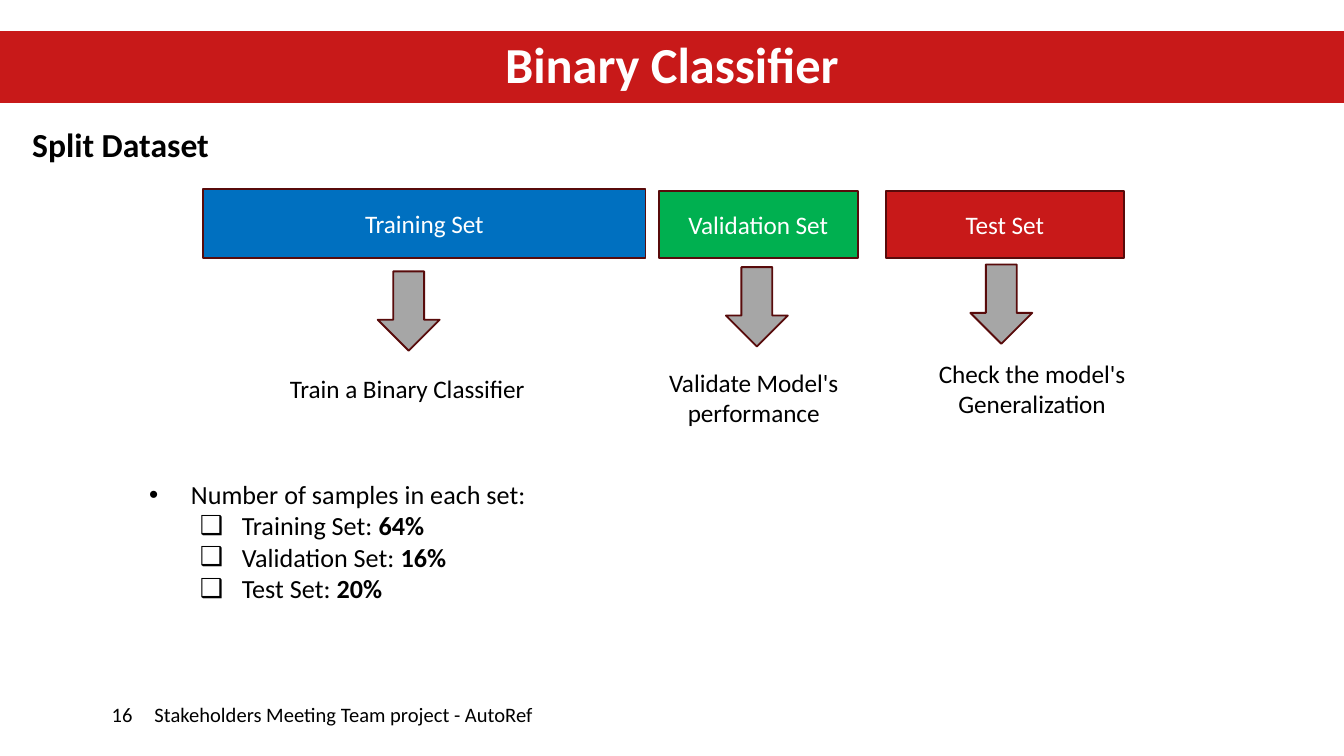
from collections import namedtuple
from dataclasses import dataclass

from lxml.etree import SubElement
from pptx import Presentation
from pptx.dml.color import RGBColor
from pptx.enum.shapes import MSO_SHAPE
from pptx.enum.text import MSO_ANCHOR, PP_ALIGN
from pptx.oxml.ns import qn
from pptx.util import Cm, Pt

# Every box is given in centimetres
Box = namedtuple("Box", "left top width height")


@dataclass(frozen=True)
class Theme:
    font: str = "Calibri"
    red: str = "C81919"
    blue: str = "0070C0"
    green: str = "00B050"
    grey: str = "A6A6A6"
    outline: str = "580B0B"
    white: str = "FFFFFF"
    black: str = "000000"
    title_size: float = 27
    heading_size: float = 18
    list_size: float = 14
    label_size: float = 13.5
    footer_size: float = 11


THEME = Theme()


def place(shape, box):
    shape.left, shape.top, shape.width, shape.height = map(Cm, box)


def add_span(para, text, size, color=THEME.black, bold=False):
    span = para.add_run()
    span.text = text
    span.font.name = THEME.font
    span.font.size = Pt(size)
    span.font.bold = bold
    span.font.color.rgb = RGBColor.from_string(color)


def set_margins(frame, left=0, top=0, right=0, bottom=0):
    frame.margin_left, frame.margin_top = Cm(left), Cm(top)
    frame.margin_right, frame.margin_bottom = Cm(right), Cm(bottom)


def add_block(page, kind, box, fill, line=None):
    shape = page.shapes.add_shape(kind, *map(Cm, box))
    shape.shadow.inherit = False
    shape.fill.solid()
    shape.fill.fore_color.rgb = RGBColor.from_string(fill)
    if line:
        shape.line.color.rgb = RGBColor.from_string(line)
        shape.line.width = Pt(1)
    else:
        shape.line.fill.background()
    return shape


def add_text_frame(page, box):
    frame = page.shapes.add_textbox(*map(Cm, box)).text_frame
    frame.word_wrap = True
    return frame


def set_bullet(para, symbol, margin, hanging):
    properties = para._p.get_or_add_pPr()
    properties.set("marL", str(Cm(margin)))
    properties.set("indent", str(-Cm(hanging)))
    SubElement(properties, qn("a:buFont")).set("typeface", "Arial")
    SubElement(properties, qn("a:buChar")).set("char", symbol)


def add_title(page, box, text):
    add_block(page, MSO_SHAPE.RECTANGLE, box, THEME.red, THEME.red)
    title = page.shapes.title
    place(title, Box(box.left, box.top + 0.2, box.width, box.height - 0.13))
    frame = title.text_frame
    set_margins(frame)
    frame.vertical_anchor = MSO_ANCHOR.TOP
    para = frame.paragraphs[0]
    para.alignment = PP_ALIGN.CENTER
    para.line_spacing = Pt(THEME.title_size)
    add_span(para, text, THEME.title_size, THEME.white, bold=True)
    # Bring the title in front of its banner
    page.shapes._spTree.append(title._element)


def add_heading(page, box, text):
    para = add_text_frame(page, box).paragraphs[0]
    add_span(para, text, THEME.heading_size, bold=True)


def add_split(page, bar, fill, name, arrow_at, purpose, purpose_box):
    """One share of the dataset: bar, arrow and what the share is for."""
    shape = add_block(page, MSO_SHAPE.RECTANGLE, bar, fill, THEME.outline)
    shape.text_frame.vertical_anchor = MSO_ANCHOR.MIDDLE
    para = shape.text_frame.paragraphs[0]
    para.alignment = PP_ALIGN.CENTER
    add_span(para, name, THEME.label_size, THEME.white)

    add_block(page, MSO_SHAPE.DOWN_ARROW, Box(*arrow_at, 1.17, 1.5),
              THEME.grey, THEME.outline)

    para = add_text_frame(page, purpose_box).paragraphs[0]
    para.alignment = PP_ALIGN.CENTER
    add_span(para, purpose, THEME.label_size)


def add_sample_list(page, box, lead, shares):
    frame = add_text_frame(page, box)
    para = frame.paragraphs[0]
    set_bullet(para, "•", 0.79, 0.79)
    add_span(para, lead, THEME.list_size)
    for name, share in shares:
        para = frame.add_paragraph()
        para.level = 1
        set_bullet(para, "❑", 1.75, 0.79)
        add_span(para, f"{name}: ", THEME.list_size)
        add_span(para, share, THEME.list_size, bold=True)


def add_footer_part(page, box, text, indent=0):
    shape = add_block(page, MSO_SHAPE.RECTANGLE, box, THEME.white)
    frame = shape.text_frame
    set_margins(frame, left=indent)
    frame.vertical_anchor = MSO_ANCHOR.MIDDLE
    para = frame.paragraphs[0]
    para.alignment = PP_ALIGN.LEFT
    add_span(para, text, THEME.footer_size)


def build_page(deck):
    page = deck.slides.add_slide(deck.slide_layouts[5])

    # Page number, title banner and heading
    add_footer_part(page, Box(0, 12.7, 3.1, 1.59), "16", indent=2.11)
    add_title(page, Box(0, 0.61, 25.4, 1.32), "Binary Classifier")
    add_heading(page, Box(0.36, 2.21, 7.49, 1.02), "Split Dataset")

    # Dataset split
    add_split(page, Box(3.84, 3.58, 8.36, 1.3), THEME.blue, "Training Set",
              (7.14, 5.13), "Train a Binary Classifier",
              Box(4.8, 6.93, 5.79, 0.84))
    add_split(page, Box(12.45, 3.61, 3.76, 1.27), THEME.green, "Validation Set",
              (13.72, 5.05), "Validate Model's performance",
              Box(11.35, 6.81, 5.79, 1.75))
    add_split(page, Box(16.74, 3.61, 4.5, 1.27), THEME.red, "Test Set",
              (18.34, 5), "Check the model's Generalization",
              Box(16.61, 6.65, 5.79, 1.42))

    # Sample shares and footer
    add_sample_list(page, Box(2.57, 8.92, 8.66, 2.64),
                    "Number of samples in each set:",
                    [("Training Set", "64%"), ("Validation Set", "16%"),
                     ("Test Set", "20%")])
    add_footer_part(page, Box(2.92, 12.7, 19.56, 1.59),
                    "Stakeholders Meeting Team project - AutoRef")


def main():
    deck = Presentation()
    deck.slide_width, deck.slide_height = Cm(25.4), Cm(14.29)
    build_page(deck)
    deck.save("out.pptx")


if __name__ == "__main__":
    main()
